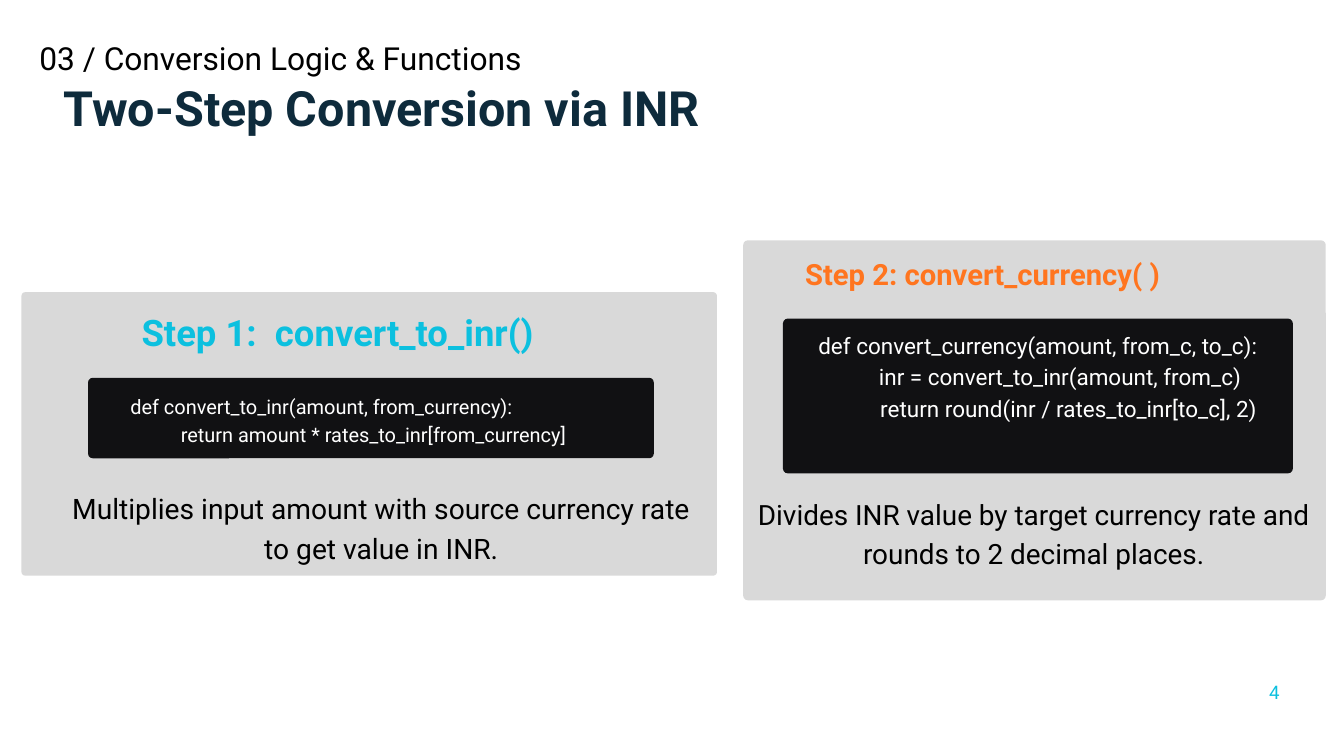
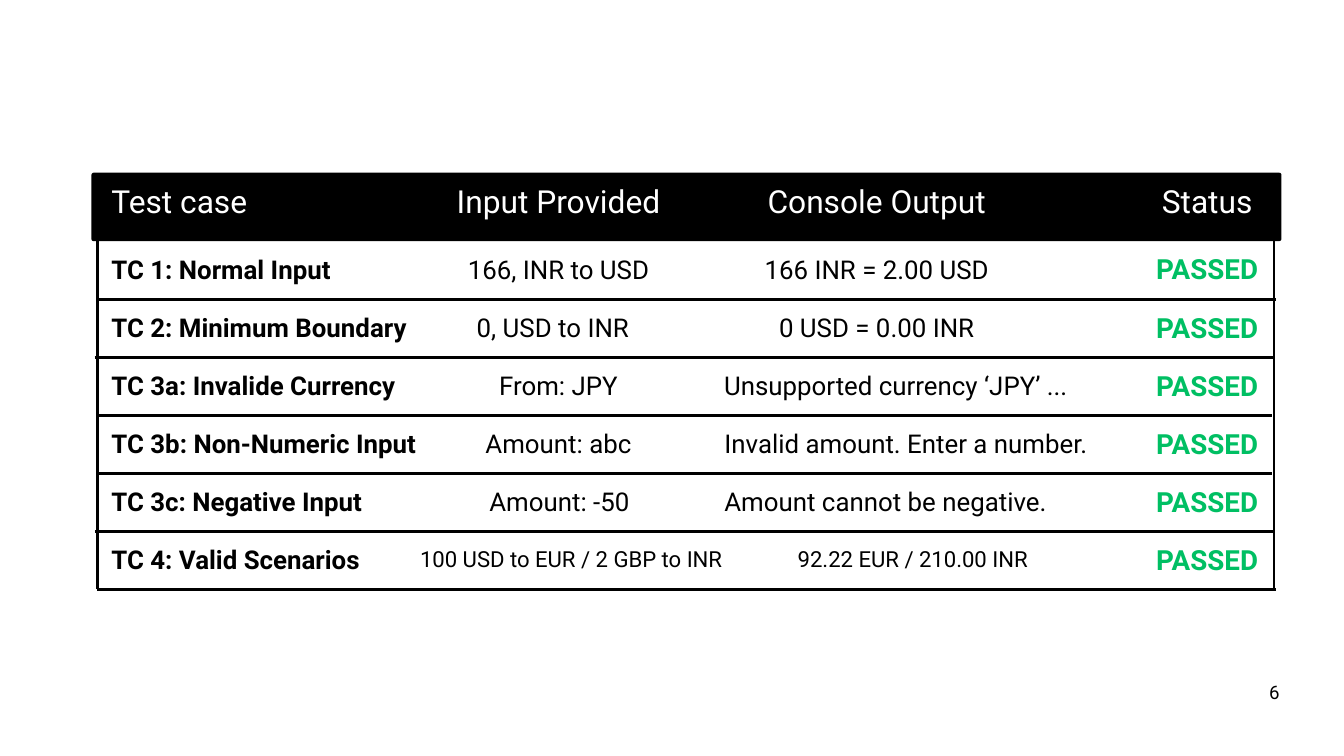
from lxml import etree
from pptx import Presentation
from pptx.dml.color import RGBColor
from pptx.enum.shapes import MSO_CONNECTOR as Connector, MSO_SHAPE as Shape
from pptx.enum.text import MSO_ANCHOR as Anchor, PP_ALIGN as Align
from pptx.oxml.ns import qn
from pptx.util import Pt

BLACK = RGBColor(0x00, 0x00, 0x00)
WHITE = RGBColor(0xFF, 0xFF, 0xFF)
NAVY = RGBColor(0x0E, 0x2B, 0x3C)
CYAN = RGBColor(0x0C, 0xC0, 0xDF)
ORANGE = RGBColor(0xFF, 0x75, 0x1F)
GREEN = RGBColor(0x00, 0xBF, 0x63)
GREY = RGBColor(0xD9, 0xD9, 0xD9)
CODE_BG = RGBColor(0x11, 0x11, 0x13)
FONT = "Roboto"
LINE_RATIO = 1.4
NO_GRID_STYLE = "{2D5ABB26-0587-4C30-8999-92F81FD0307C}"


def write(tf, lines, size, color, bold=False, align=Align.CENTER):
    tf.word_wrap = True
    tf.margin_left = tf.margin_right = tf.margin_top = tf.margin_bottom = 0
    tf.text = "\n".join(lines)
    for p in tf.paragraphs:
        p.alignment = align
        p.line_spacing = Pt(round(size * LINE_RATIO, 1))
        p.font.name = FONT
        p.font.size = Pt(size)
        p.font.bold = bold
        p.font.color.rgb = color


def rounded(s, left, top, width, height, radius, color):
    sp = s.shapes.add_shape(Shape.ROUNDED_RECTANGLE, Pt(left), Pt(top), Pt(width), Pt(height))
    sp.adjustments[0] = radius / min(width, height)
    sp.shadow.inherit = False
    sp.fill.solid()
    sp.fill.fore_color.rgb = color
    sp.line.fill.background()


prs = Presentation()
prs.slide_width, prs.slide_height = Pt(1440), Pt(810)
logic, tests = [prs.slides.add_slide(prs.slide_layouts[6]) for _ in range(2)]

for s, number, color in [(logic, "4", CYAN), (tests, "6", BLACK)]:
    tf = s.shapes.add_textbox(Pt(1359.4), Pt(725), Pt(12.2), Pt(16)).text_frame
    write(tf, [number], 20, color)
    tf.word_wrap = False

for left, top, width, height, radius, color in [
    (23, 313, 745.2, 303.8, 4, GREY),
    (94.3, 404.8, 606.2, 86.2, 5, CODE_BG),
    (796.3, 257.5, 624.2, 385.7, 5, GREY),
    (838.8, 341.3, 546.5, 166, 5.5, CODE_BG),
]:
    rounded(logic, left, top, width, height, radius, color)

for left, top, width, height, lines, size, color, bold in [
    (23, 35.3, 555.1, 45.4, ["03 / Conversion Logic & Functions"], 34, BLACK, False),
    (43.2, 73.4, 731.5, 142.6, ["Two-Step Conversion via INR"], 52, NAVY, True),
    (80.8, 324.7, 562.3, 107.3, ["Step 1:  convert_to_inr()"], 39.1, CYAN, True),
    (-54.7, 418.6, 797.8, 88.6, [
        "def convert_to_inr(amount, from_currency):",
        "                     return amount * rates_to_inr[from_currency]",
    ], 21.4, WHITE, False),
    (67, 520.6, 683.3, 82.8, [
        "Multiplies input amount with source currency rate to get value in INR.",
    ], 30.2, BLACK, False),
    (740.9, 268.2, 624.2, 85.7, ["Step 2: convert_currency( )"], 31.3, ORANGE, True),
    (856.8, 350.6, 510.5, 131.8, [
        "def convert_currency(amount, from_c, to_c):",
        "        inr = convert_to_inr(amount, from_c)",
        "           return round(inr / rates_to_inr[to_c], 2)",
    ], 24.1, WHITE, False),
    (801.8, 527, 611.3, 82.1, [
        "Divides INR value by target currency rate and rounds to 2 decimal places.",
    ], 29.9, BLACK, False),
]:
    tf = logic.shapes.add_textbox(Pt(left), Pt(top), Pt(width), Pt(height)).text_frame
    write(tf, lines, size, color, bold)

TABLE_LEFT, TABLE_TOP = 104.4, 185
HEADER_HEIGHT, ROW_HEIGHT = 73.4, 62.2
COLUMN_WIDTHS = [345, 325, 407, 184]
rounded(tests, 97.9, TABLE_TOP, 1275.1, HEADER_HEIGHT, 2.5, BLACK)

rows = [
    ("Test case", "Input Provided", "Console Output", "Status"),
    ("TC 1: Normal Input", "166, INR to USD", "166 INR = 2.00 USD", "PASSED"),
    ("TC 2: Minimum Boundary", "0, USD to INR", "0 USD = 0.00 INR", "PASSED"),
    ("TC 3a: Invalide Currency", "From: JPY", "Unsupported currency ‘JPY’ ...", "PASSED"),
    ("TC 3b: Non-Numeric Input", "Amount: abc", "Invalid amount. Enter a number.", "PASSED"),
    ("TC 3c: Negative Input", "Amount: -50", "Amount cannot be negative.", "PASSED"),
    ("TC 4: Valid Scenarios", "100 USD to EUR / 2 GBP to INR", "92.22 EUR / 210.00 INR", "PASSED"),
]
input_margins = [27, 27, 39, 27, 27, 25, 0]
output_margins = [77, 77, 77, 36, 14, 58, 0]
last_row, last_col = len(rows) - 1, len(COLUMN_WIDTHS) - 1
body_top = TABLE_TOP + HEADER_HEIGHT
body_bottom = body_top + last_row * ROW_HEIGHT

table = tests.shapes.add_table(
    len(rows), len(COLUMN_WIDTHS), Pt(TABLE_LEFT), Pt(TABLE_TOP),
    Pt(sum(COLUMN_WIDTHS)), Pt(body_bottom - TABLE_TOP),
).table
table.first_row = table.horz_banding = False
table._tbl.tblPr.find(qn("a:tableStyleId")).text = NO_GRID_STYLE
for column, width in zip(table.columns, COLUMN_WIDTHS):
    column.width = Pt(width)

for i, texts in enumerate(rows):
    table.rows[i].height = Pt(ROW_HEIGHT if i else HEADER_HEIGHT)
    right_margins = [0, input_margins[i], output_margins[i], 0]
    for j, text in enumerate(texts):
        cell = table.cell(i, j)
        if i == 0:
            size, color = 34, WHITE
        elif j == last_col:
            size, color = 29.7, GREEN
        else:
            size = 23.7 if i == last_row and j else 27.7
            color = BLACK
        align = Align.CENTER if j else Align.LEFT
        write(cell.text_frame, [text], size, color, i > 0 and j in (0, last_col), align)
        cell.vertical_anchor = Anchor.MIDDLE
        cell.margin_left = Pt([15, 0, 0, 40][j])
        cell.margin_right = Pt(right_margins[j])
        cell.margin_top = 0
        cell.margin_bottom = Pt(6 if i else 16)
        cell.fill.background()

row_spans = [(104.4, 1367.3), (101.5, 1365), (104.4, 1363), (104.4, 1363), (102.2, 1365), (103.7, 1367.3)]
rules = [(x, body_top, x, body_bottom) for x in (TABLE_LEFT, 1365)]
for i, (left, right) in enumerate(row_spans, 1):
    y = body_top + i * ROW_HEIGHT
    rules.append((left, y, right, y))

for x1, y1, x2, y2 in rules:
    rule = tests.shapes.add_connector(Connector.STRAIGHT, Pt(x1), Pt(y1), Pt(x2), Pt(y2))
    rule.line.color.rgb = BLACK
    rule.line.width = Pt(3)
    etree.SubElement(rule._element.spPr, qn("a:effectLst"))

prs.save("out.pptx")
